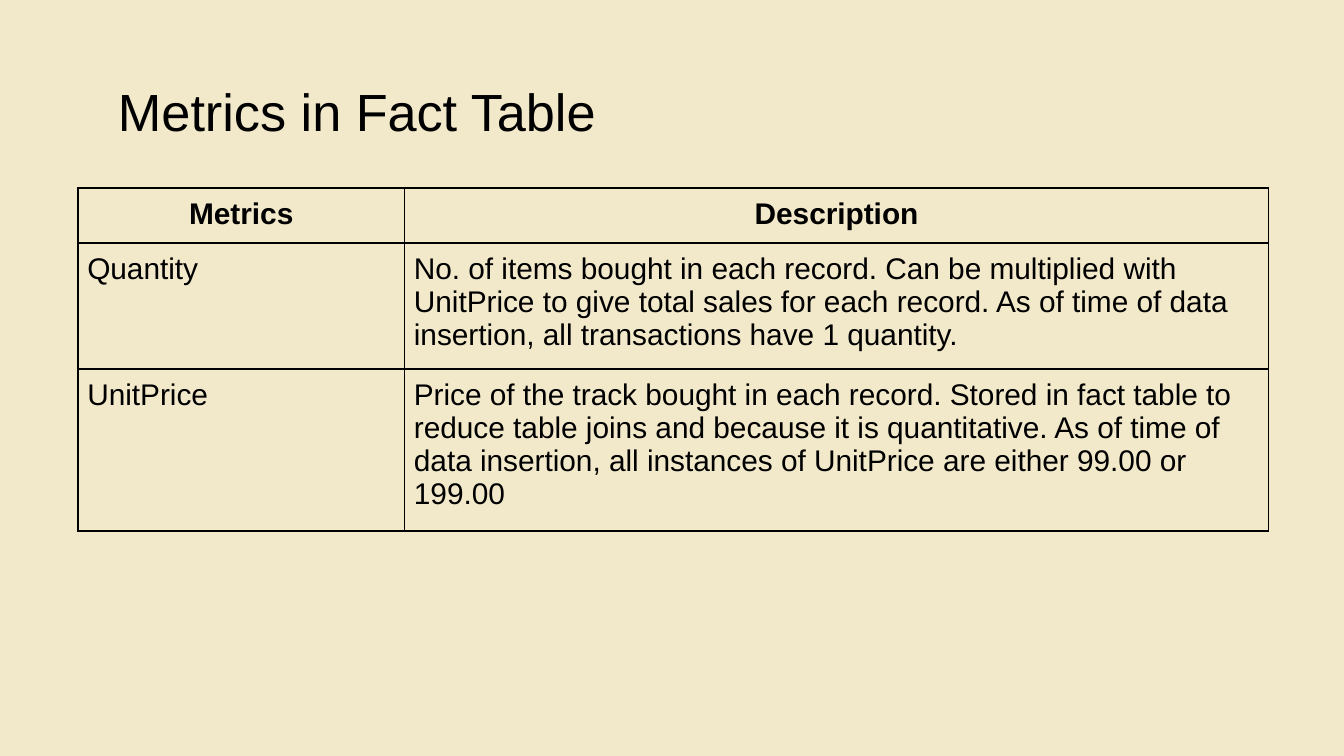
from lxml import etree
from pptx import Presentation
from pptx import util as u
from pptx.dml import color
from pptx.enum import text
from pptx.oxml import ns

METRICS = [
    ("Metrics", "Description"),
    ("Quantity",
     "No. of items bought in each record. Can be multiplied with UnitPrice to "
     "give total sales for each record. As of time of data insertion, all "
     "transactions have 1 quantity."),
    ("UnitPrice",
     "Price of the track bought in each record. Stored in fact table to reduce "
     "table joins and because it is quantitative. As of time of data insertion, "
     "all instances of UnitPrice are either 99.00 or 199.00"),
]
COLUMN_WIDTHS = (2.43, 6.43)
# Minimum heights: the body rows grow to fit their text
ROW_HEIGHTS = (0.39, 0.75, 0.57)
BACKGROUND, INK = "F2E9CA", "000000"


def rgb(value):
    return color.RGBColor.from_string(value)


def write(frame, words, size=16, bold=False, align=text.PP_ALIGN.LEFT):
    frame.word_wrap = True
    paragraph = frame.paragraphs[0]
    paragraph.alignment = align
    run = paragraph.add_run()
    run.text = words
    run.font.name = "Arial"
    run.font.size = u.Pt(size)
    run.font.bold = bold
    run.font.color.rgb = rgb(INK)


def set_insets(holder, inset):
    for side in ("left", "right", "top", "bottom"):
        setattr(holder, "margin_" + side, u.Inches(inset))


def border(cell, width=1):
    # Border lines must precede the fill in the cell properties
    properties = cell._tc.get_or_add_tcPr()
    for position, side in enumerate(("lnL", "lnR", "lnT", "lnB")):
        line = etree.Element(ns.qn("a:" + side), w=str(u.Pt(width)))
        fill = etree.SubElement(line, ns.qn("a:solidFill"))
        etree.SubElement(fill, ns.qn("a:srgbClr"), val=INK)
        properties.insert(position, line)


def add_title(slide, words):
    title = slide.shapes.add_textbox(
        u.Inches(0.78), u.Inches(0.49), u.Inches(8.43), u.Inches(0.63))
    set_insets(title.text_frame, 0.1)
    write(title.text_frame, words, size=28)


def add_metrics_table(slide):
    metrics = slide.shapes.add_table(
        len(METRICS), len(COLUMN_WIDTHS), u.Inches(0.58), u.Inches(1.4),
        u.Inches(sum(COLUMN_WIDTHS)), u.Inches(sum(ROW_HEIGHTS))).table
    metrics.horz_banding = False
    metrics.first_row = False
    for column, width in zip(metrics.columns, COLUMN_WIDTHS):
        column.width = u.Inches(width)
    for index, (row, height) in enumerate(zip(metrics.rows, ROW_HEIGHTS)):
        row.height = u.Inches(height)
        header = index == 0
        align = text.PP_ALIGN.CENTER if header else text.PP_ALIGN.LEFT
        for cell, words in zip(row.cells, METRICS[index]):
            write(cell.text_frame, words, bold=header, align=align)
            set_insets(cell, 0.07)
            cell.fill.background()
            border(cell)


def main():
    # A 16:9 slide
    deck = Presentation()
    deck.slide_width = u.Inches(10)
    deck.slide_height = u.Inches(10) * 9 // 16
    slide = deck.slides.add_slide(deck.slide_layouts[6])
    slide.background.fill.solid()
    slide.background.fill.fore_color.rgb = rgb(BACKGROUND)

    add_title(slide, "Metrics in Fact Table")
    add_metrics_table(slide)
    deck.save("out.pptx")


main()
